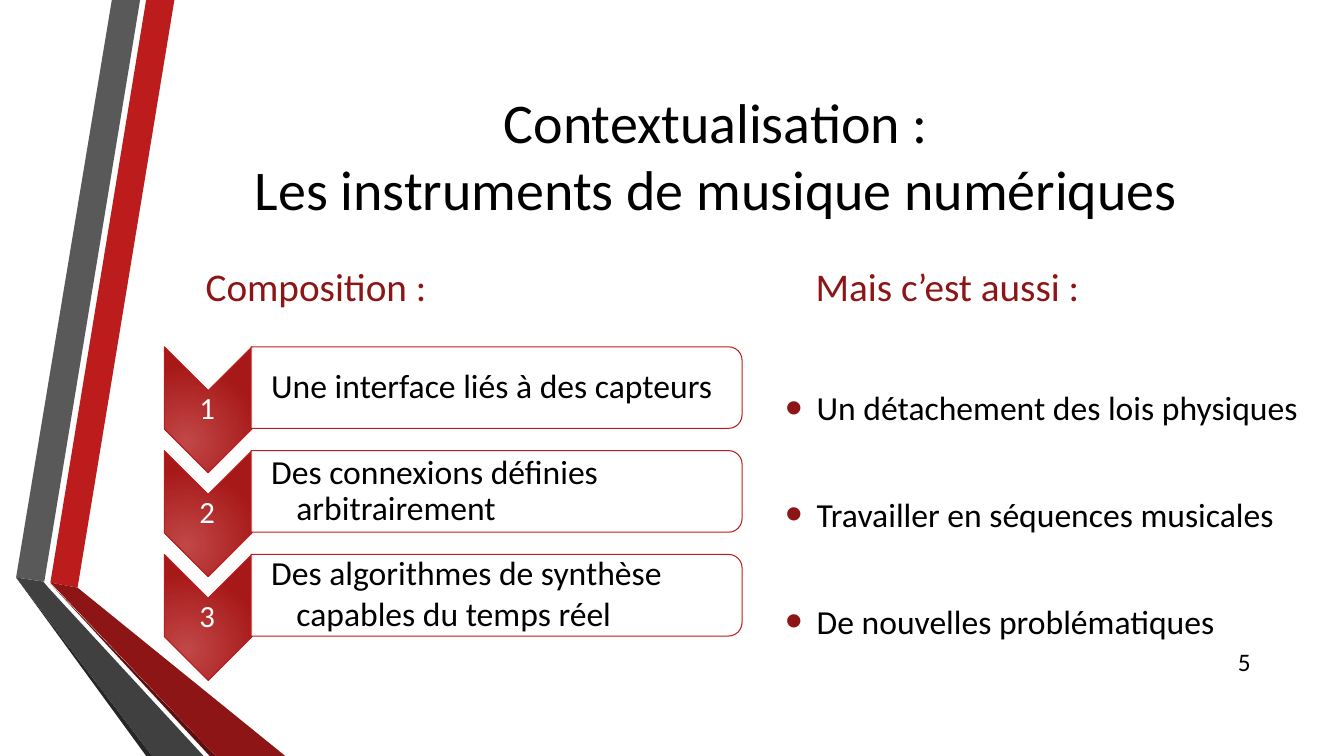
from lxml.etree import SubElement
from pptx import Presentation
from pptx.dml.color import RGBColor
from pptx.enum.shapes import MSO_SHAPE
from pptx.enum.text import MSO_ANCHOR, MSO_AUTO_SIZE, PP_ALIGN
from pptx.oxml.ns import qn
from pptx.util import Emu, Pt

PX = 9144


def px(length):
    return Emu(length * PX)


def color(hex_code):
    return RGBColor.from_string(hex_code)


class Deck:
    font = "Calibri"
    ink = "000000"
    paper = "FFFFFF"
    red = "BC1C1C"
    dark_red = "8D1515"
    glow = ("C14747", "A71919")

    def __init__(self, width, height):
        self.deck = Presentation()
        self.deck.slide_width = px(width)
        self.deck.slide_height = px(height)
        self.slide = None

    def new_slide(self, layout):
        self.slide = self.deck.slides.add_slide(self.deck.slide_layouts[layout])

    def holder(self, index):
        return next(p for p in self.slide.placeholders
                    if p.placeholder_format.idx == index)

    def drop(self, index):
        unused = self.holder(index).element
        unused.getparent().remove(unused)

    def place(self, target, box, anchor, insets=(10, 5, 10, 5)):
        target.left, target.top, target.width, target.height = map(px, box)
        frame = target.text_frame
        frame.word_wrap = True
        frame.auto_size = MSO_AUTO_SIZE.NONE
        frame.vertical_anchor = anchor
        (frame.margin_left, frame.margin_top,
         frame.margin_right, frame.margin_bottom) = map(px, insets)
        return frame

    def add_text(self, paragraph, lines, size, ink=ink, align=PP_ALIGN.LEFT,
                 spacing=1.0, before=0, after=0):
        paragraph.alignment = align
        paragraph.line_spacing = spacing
        paragraph.space_before = Pt(before)
        paragraph.space_after = Pt(after)
        for number, line in enumerate(lines):
            if number:
                paragraph.add_line_break()
            run = paragraph.add_run()
            run.text = line
            run.font.name = self.font
            run.font.size = Pt(size)
            run.font.bold = False
            run.font.color.rgb = color(ink)

    def paragraphs(self, frame, count):
        for _ in range(count - 1):
            frame.add_paragraph()
        return frame.paragraphs

    def hang(self, paragraph, margin, indent):
        properties = paragraph._p.get_or_add_pPr()
        properties.set("marL", str(px(margin)))
        properties.set("indent", str(px(indent)))
        return properties

    def title(self, lines, box):
        frame = self.place(self.slide.shapes.title, box, MSO_ANCHOR.MIDDLE)
        self.add_text(frame.paragraphs[0], lines, 40, align=PP_ALIGN.CENTER)

    def heading(self, index, text, box):
        frame = self.place(self.holder(index), box, MSO_ANCHOR.BOTTOM)
        self.add_text(frame.paragraphs[0], [text], 28, self.dark_red)

    def bullets(self, index, items, box, top_inset, gap):
        frame = self.place(self.holder(index), box, MSO_ANCHOR.TOP,
                           (10, top_inset, 10, 5))
        lines = self.paragraphs(frame, len(items))
        for number, (paragraph, item) in enumerate(zip(lines, items)):
            properties = self.hang(paragraph, 31, -31)
            tint = SubElement(properties, qn("a:buClr"))
            SubElement(tint, qn("a:srgbClr"), val=self.dark_red)
            SubElement(properties, qn("a:buSzPct"), val="145000")
            SubElement(properties, qn("a:buFont"), typeface="Arial")
            SubElement(properties, qn("a:buChar"), char="•")
            self.add_text(paragraph, [item], 24, before=gap if number else 0)

    def label(self, box, text, size, ink=ink, align=PP_ALIGN.LEFT,
              insets=(10, 5, 10, 5), spacing=1.0):
        target = self.slide.shapes.add_textbox(*map(px, box))
        frame = self.place(target, box, MSO_ANCHOR.MIDDLE, insets)
        self.add_text(frame.paragraphs[0], [text], size, ink, align, spacing)

    def step_text(self, box, texts):
        target = self.slide.shapes.add_textbox(*map(px, box))
        frame = self.place(target, box, MSO_ANCHOR.MIDDLE, (19, 2, 2, 2))
        lines = self.paragraphs(frame, len(texts))
        for level, (paragraph, text) in enumerate(zip(lines, texts), 1):
            self.hang(paragraph, 25 * level, -25)
            self.add_text(paragraph, [text], 24, spacing=0.9, after=3.6)

    def turned(self, kind, box):
        shape = self.slide.shapes.add_shape(kind, *map(px, box))
        shape.rotation = 90
        shape.shadow.inherit = False
        shape.line.color.rgb = color(self.red)
        shape.line.width = Pt(0.75)
        return shape

    def chevron(self, box):
        shape = self.turned(MSO_SHAPE.CHEVRON, box)
        shape.fill.gradient()
        stops = shape.fill.gradient_stops
        for position, (stop, tint) in enumerate(zip(stops, self.glow)):
            stop.position = position
            stop.color.rgb = color(tint)
        gradient = shape.element.spPr.find(qn("a:gradFill"))
        gradient.remove(gradient.find(qn("a:lin")))
        circle = SubElement(gradient, qn("a:path"), {"path": "circle"})
        SubElement(circle, qn("a:fillToRect"),
                   l="50000", t="100000", r="100000", b="50000")

    def panel(self, box):
        shape = self.turned(MSO_SHAPE.ROUND_2_SAME_RECTANGLE, box)
        shape.fill.solid()
        shape.fill.fore_color.rgb = color(self.paper)
        tint = shape.element.spPr.find(qn("a:solidFill"))[0]
        SubElement(tint, qn("a:alpha"), val="90000")

    def ribbon(self, tint, points):
        builder = self.slide.shapes.build_freeform(*points[0], scale=PX)
        builder.add_line_segments(points[1:], close=True)
        shape = builder.convert_to_shape()
        shape.shadow.inherit = False
        shape.fill.solid()
        shape.fill.fore_color.rgb = color(tint)
        shape.line.fill.background()


RIBBONS = [
    (Deck.red, [(50, 578), (77, 583), (173, 0), (145, 0)]),
    ("595959", [(139, 0), (111, 0), (16, 573), (44, 577)]),
    ("262626", [(16, 573), (145, 750), (151, 750)]),
    ("5E0E0E", [(50, 579), (208, 750), (214, 750)]),
    (Deck.dark_red, [(50, 578), (214, 750), (283, 750), (77, 583)]),
    ("404040", [(202, 750), (48, 583), (43, 577), (16, 573), (151, 750)]),
]
COMPONENTS = [
    ["Une interface liés à des capteurs"],
    ["Des connexions définies arbitrairement"],
    ["Des algorithmes de synthèse", "capables du temps réel"],
]
CONSEQUENCES = [
    "Un détachement des lois physiques",
    "Travailler en séquences musicales",
    "De nouvelles problématiques",
]
STEP_PITCH = 103


def main():
    deck = Deck(1333, 750)
    deck.new_slide(4)
    deck.drop(2)
    for tint, points in RIBBONS:
        deck.ribbon(tint, points)

    deck.title(["Contextualisation :", "Les instruments de musique numériques"],
               (162, 57, 1096, 192))
    deck.heading(1, "Composition :", (194, 249, 504, 63))
    deck.heading(3, "Mais c’est aussi :", (799, 249, 506, 63))

    for step, texts in enumerate(COMPONENTS):
        drop = step * STEP_PITCH
        deck.chevron((144, 363 + drop, 125, 87))
        deck.label((162, 388 + drop, 87, 37), str(step + 1), 22, deck.paper,
                   PP_ALIGN.CENTER, (2, 2, 2, 2), 0.9)
        deck.panel((452, 141 + drop, 81, 487))
        deck.step_text((250, 348 + drop, 483, 73), texts)

    deck.bullets(4, CONSEQUENCES, (769, 344, 535, 284), 40, 47.5)
    deck.label((1218, 638, 52, 37), "5", 18)
    deck.deck.save("out.pptx")


if __name__ == "__main__":
    main()
